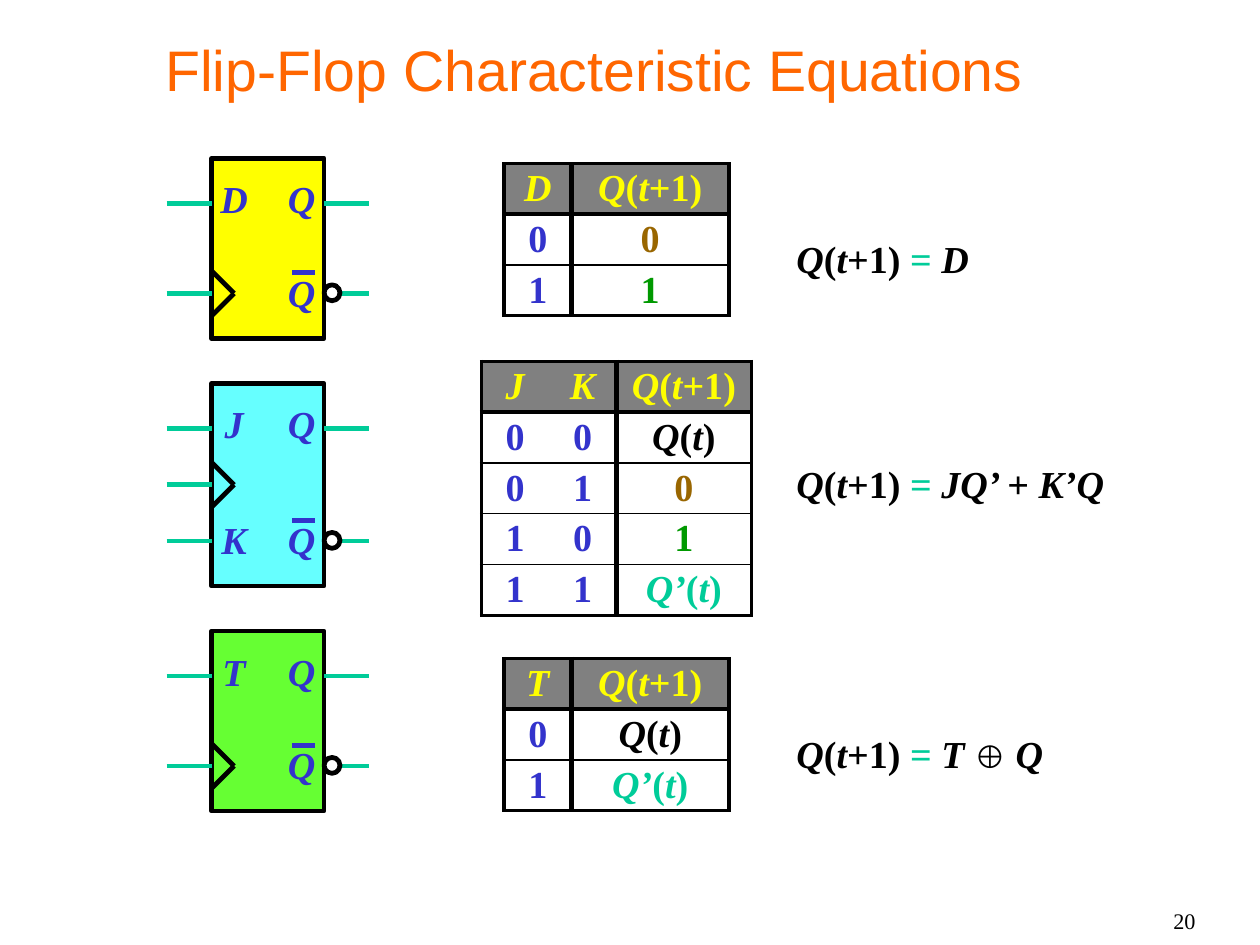
import pptx
import pptx.util
import pptx.dml.color
import pptx.enum.shapes
import pptx.enum.text
import pptx.oxml
import pptx.oxml.ns
import lxml.etree

Pt = pptx.util.Pt
PP_ALIGN = pptx.enum.text.PP_ALIGN
MIDDLE = pptx.enum.text.MSO_ANCHOR.MIDDLE
SHAPE = pptx.enum.shapes.MSO_SHAPE
STRAIGHT = pptx.enum.shapes.MSO_CONNECTOR.STRAIGHT

COLORS = {
    "title": "FF6600", "ink": "000000", "paper": "FFFFFF", "label": "3333CC",
    "wire": "00CC99", "header": "808080", "heading": "FFFF00", "reset": "996600",
    "set": "009900", "d": "FFFF00", "jk": "66FFFF", "t": "66FF33",
}
UNIT = 14.17
ROW = 32
NOW = [("Q", True), ("(", False), ("t", True), (")", False)]
NEXT = NOW[:3] + [("+1)", False)]
TOGGLED = [(text, italic, "wire") for text, italic in [("Q’", True)] + NOW[1:]]
HOLD = [(text, italic, "ink") for text, italic in NOW]
ZERO = [("0", False, "label")]
ONE = [("1", False, "label")]
RESET = [("0", False, "reset")]
SET = [("1", False, "set")]
EQUALS = NEXT[:3] + [("+1) ", False), ("= ", False, "wire")]


def rgb(name):
    """Return the named colour."""
    return pptx.dml.color.RGBColor.from_string(COLORS[name])


def write(tf, runs, color="ink", size=24, font="Times New Roman", bold=True,
          align=PP_ALIGN.CENTER, spacing=None):
    """Fill the first paragraph with (text, italic, colour, size) runs."""
    p = tf.paragraphs[0]
    p.alignment = align
    p.line_spacing = spacing
    for text, italic, *own in runs:
        r = p.add_run()
        r.text = text
        r.font.name = font
        r.font.bold = bold
        r.font.italic = italic
        r.font.color.rgb = rgb(own[0] if own else color)
        r.font.size = Pt(own[1] if len(own) > 1 else size)


def strip_margins(frame):
    """Set all four margins of a text frame or cell to zero."""
    frame.margin_left = frame.margin_right = frame.margin_top = frame.margin_bottom = 0


def add_text(shapes, x, y, w, h, runs, **style):
    """Add a wrapping text box without margins."""
    tf = shapes.add_textbox(Pt(x), Pt(y), Pt(w), Pt(h)).text_frame
    tf.word_wrap = True
    strip_margins(tf)
    write(tf, runs, **style)


def add_line(shapes, x1, y1, x2, y2, color):
    """Add a straight line without a shadow."""
    line = shapes.add_connector(STRAIGHT, Pt(x1), Pt(y1), Pt(x2), Pt(y2))
    line.line.color.rgb = rgb(color)
    line.line.width = Pt(3)
    effects = pptx.oxml.ns.qn("a:effectLst")
    lxml.etree.SubElement(line._element.spPr, effects)


def add_outline(shapes, kind, x, y, w, h, fill):
    """Add a filled preset shape with a black outline."""
    sp = shapes.add_shape(kind, Pt(x), Pt(y), Pt(w), Pt(h))
    sp.shadow.inherit = False
    sp.fill.solid()
    sp.fill.fore_color.rgb = rgb(fill)
    sp.line.color.rgb = rgb("ink")
    sp.line.width = Pt(3)


def flip_flop(s, x, y, units, inputs, clock, fill):
    """Draw a flip-flop symbol, its height and clock row given in grid units."""
    shapes = s.shapes.add_group_shape().shapes
    w, h, wire = 5 * UNIT, units * UNIT, 2 * UNIT
    right, top, bottom, tick = x + w, y + wire, y + h - wire, y + clock * UNIT
    add_outline(shapes, SHAPE.RECTANGLE, x, y, w, h, fill)
    for side in (-UNIT, UNIT):
        add_line(shapes, x, tick + side, x + UNIT, tick, "ink")
    rows = list(zip(inputs, (top, bottom)))
    for level in [tick] + [level for _, level in rows]:
        add_line(shapes, x - wire, level, x, level, "wire")
    for level in (top, bottom):
        add_line(shapes, right, level, right + wire, level, "wire")
    add_outline(shapes, SHAPE.OVAL, right, bottom - 5.4, 10, 10, "paper")
    labels = [(x, *row) for row in rows]
    labels += [(x + 3 * UNIT, "Q", level) for level in (top, bottom)]
    for left, name, level in labels:
        rise = UNIT if level == top else 12
        add_text(shapes, left, level - rise, wire, 26, [(name, True)],
                 color="label", spacing=0.9)
    add_line(shapes, x + 3.58 * UNIT, bottom - 13, x + 4.58 * UNIT, bottom - 13, "label")


def set_borders(cell, widths):
    """Set left, right, top and bottom cell borders, where zero means none."""
    tcPr = cell._tc.get_or_add_tcPr()
    for i, (side, width) in enumerate(zip("LRTB", widths)):
        fill = ('<a:solidFill><a:srgbClr val="%s"/></a:solidFill>' % COLORS["ink"]
                if width else "<a:noFill/>")
        tcPr.insert(i, pptx.oxml.parse_xml(
            '<a:ln%s %s w="%d">%s</a:ln%s>'
            % (side, pptx.oxml.ns.nsdecls("a"), Pt(width), fill, side)))


def truth_table(s, x, y, widths, rows):
    """Draw a characteristic table whose last column is the next state."""
    n, m = len(rows), len(widths)
    table = s.shapes.add_table(n, m, Pt(x), Pt(y), Pt(sum(widths)), Pt(n * ROW)).table
    table.first_row = table.horz_banding = False
    for column, width in zip(table.columns, widths):
        column.width = Pt(width)
    verticals = [2.25] + [0] * (m - 2) + [3, 2.25]
    horizontals = [2.25, 3] + [1] * (n - 2) + [2.25]
    for i, row in enumerate(rows):
        table.rows[i].height = Pt(ROW)
        for j, runs in enumerate(row):
            cell = table.cell(i, j)
            cell.vertical_anchor = MIDDLE
            strip_margins(cell)
            write(cell.text_frame, runs, color="heading")
            if i:
                cell.fill.background()
            else:
                cell.fill.solid()
                cell.fill.fore_color.rgb = rgb("header")
            set_borders(cell, verticals[j:j + 2] + horizontals[i:i + 2])


def equation(s, x, y, w, result):
    """Write a characteristic equation for the next state."""
    add_text(s.shapes, x, y, w, 34.6, EQUALS + result, align=PP_ALIGN.LEFT, spacing=1.2)


def title(s, x, y, w, h, text):
    """Place and format the title placeholder."""
    sp = s.shapes.title
    sp.left, sp.top, sp.width, sp.height = Pt(x), Pt(y), Pt(w), Pt(h)
    tf = sp.text_frame
    tf.auto_size = pptx.enum.text.MSO_AUTO_SIZE.NONE
    tf.vertical_anchor = MIDDLE
    strip_margins(tf)
    write(tf, [(text, False)], color="title", size=36, font="Arial", bold=False, spacing=0.93)


prs = pptx.Presentation()
prs.slide_width, prs.slide_height = Pt(793.7), Pt(595.28)
s = prs.slides.add_slide(prs.slide_layouts[5])
title(s, 62.4, 26.9, 623.6, 37.4, "Flip-Flop Characteristic Equations")

flip_flop(s, 133.3, 99.8, 8, "D", 6, "d")
flip_flop(s, 133.3, 241.6, 9, "JK", 4.5, "jk")
flip_flop(s, 133.3, 397.5, 8, "T", 6, "t")

truth_table(s, 317.5, 103, (42.5, 99.2), [
    [[("D", True)], NEXT], [ZERO, RESET], [ONE, SET]])
truth_table(s, 303.3, 227.6, (42.5, 42.5, 85), [
    [[("J", True)], [("K", True)], NEXT],
    [ZERO, ZERO, HOLD], [ZERO, ONE, RESET], [ONE, ZERO, SET], [ONE, ONE, TOGGLED]])
truth_table(s, 317.5, 414.7, (42.5, 99.2), [
    [[("T", True)], NEXT], [ZERO, HOLD], [ONE, TOGGLED]])

equation(s, 501.7, 142.6, 127.6, [("D", True)])
equation(s, 501.7, 284.4, 198.4, [("JQ’ ", True), ("+", False), (" K’Q", True)])
equation(s, 501.7, 454.4, 184.3, [
    ("T ", True), ("⊕", False, "ink", 20), (" ", False), ("Q", True)])

add_text(s.shapes, 568.8, 571.7, 184.3, 23, [("20", False)],
         size=14, bold=False, align=PP_ALIGN.RIGHT)
prs.save("out.pptx")
